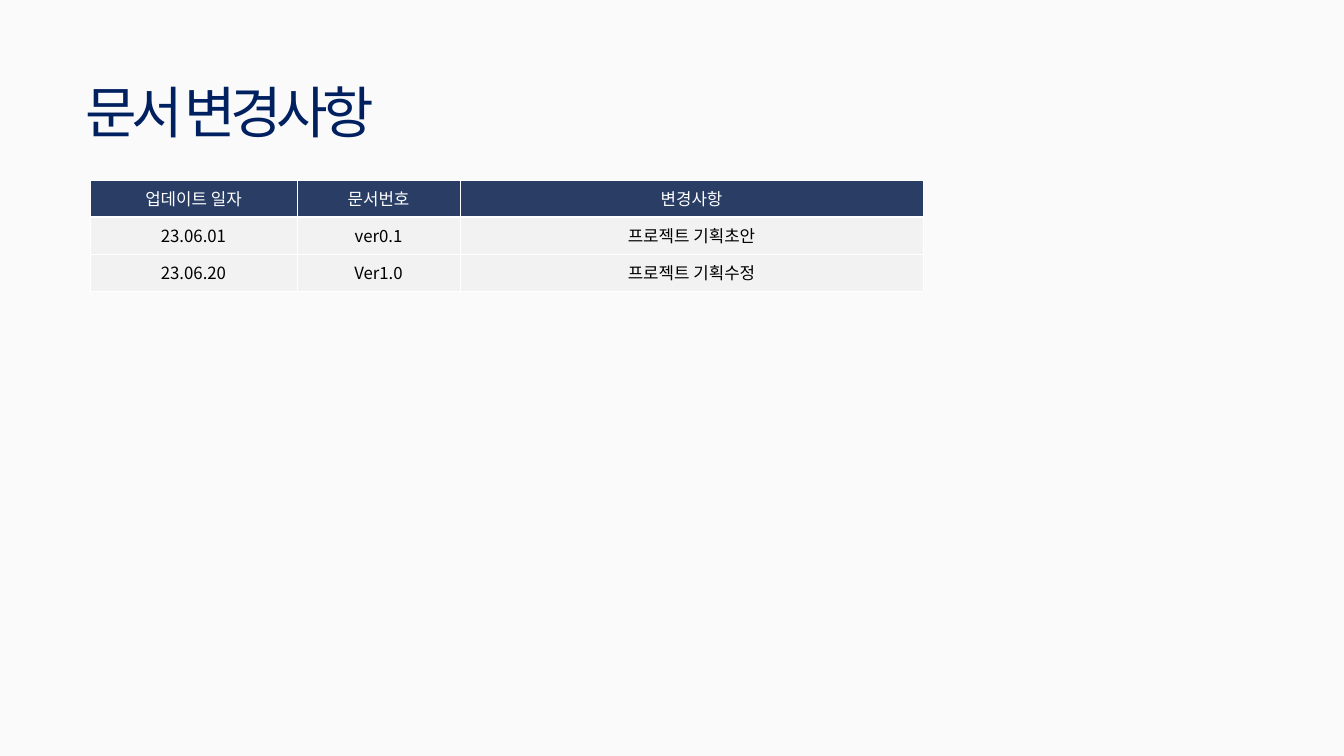
from pptx import Presentation
from pptx.dml.color import RGBColor
from pptx.enum.text import MSO_ANCHOR, MSO_AUTO_SIZE, PP_ALIGN
from pptx.oxml import parse_xml
from pptx.oxml.ns import nsdecls
from pptx.util import Emu, Pt

TITLE = "문서 변경사항"
ROWS = [
    ("업데이트 일자", "문서번호", "변경사항"),
    ("23.06.01", "ver0.1", "프로젝트 기획초안"),
    ("23.06.20", "Ver1.0", "프로젝트 기획수정"),
]
COL_WIDTHS = [207, 163, 463]
ROW_HEIGHT = 37
TABLE_LEFT, TABLE_TOP = 90, 180

FONT = "Noto Sans CJK KR"
PAPER = RGBColor(0xFA, 0xFA, 0xFA)
NAVY = RGBColor(0x00, 0x20, 0x60)
HEADER = RGBColor(0x29, 0x3D, 0x65)
BODY = RGBColor(0xF2, 0xF2, 0xF2)
WHITE = RGBColor(0xFF, 0xFF, 0xFF)
BLACK = RGBColor(0x00, 0x00, 0x00)


def px(n):
    return Emu(round(n * 914400 / 67.2))


def write(tf, text, size=18, color=BLACK, align=PP_ALIGN.CENTER, spacing=0):
    p = tf.paragraphs[0]
    p.alignment = align
    r = p.add_run()
    r.text = text
    r.font.size = Pt(size)
    r.font.name = FONT
    r.font.color.rgb = color
    rPr = r.font._element
    rPr.append(parse_xml(f'<a:ea {nsdecls("a")} typeface="{FONT}"/>'))
    if spacing:
        rPr.set("spc", str(spacing * 100))


def border(cell, bottom=1):
    tcPr = cell._tc.get_or_add_tcPr()
    for i, (side, width) in enumerate(zip("LRTB", (1, 1, 1, bottom))):
        tcPr.insert(i, parse_xml(
            f'<a:ln{side} {nsdecls("a")} w="{Pt(width)}"><a:solidFill>'
            f'<a:srgbClr val="{WHITE}"/></a:solidFill></a:ln{side}>'))


prs = Presentation()
prs.slide_width, prs.slide_height = px(1344), px(756)
s = prs.slides.add_slide(prs.slide_layouts[5])
s.background.fill.solid()
s.background.fill.fore_color.rgb = PAPER

gf = s.shapes.add_table(len(ROWS), len(COL_WIDTHS), px(TABLE_LEFT), px(TABLE_TOP),
                        px(sum(COL_WIDTHS)), px(ROW_HEIGHT * len(ROWS)))
table = gf.table
for column, width in zip(table.columns, COL_WIDTHS):
    column.width = px(width)
for i, values in enumerate(ROWS):
    table.rows[i].height = px(ROW_HEIGHT)
    for j, text in enumerate(values):
        cell = table.cell(i, j)
        cell.vertical_anchor = MSO_ANCHOR.MIDDLE
        cell.fill.solid()
        cell.fill.fore_color.rgb = BODY if i else HEADER
        border(cell, bottom=1 if i else 3)
        write(cell.text_frame, text, color=BLACK if i else WHITE)

title = s.shapes.title
title.left, title.top, title.width, title.height = px(79), px(74), px(1089), px(75)
tf = title.text_frame
tf.word_wrap = True
tf.auto_size = MSO_AUTO_SIZE.NONE
tf.vertical_anchor = MSO_ANCHOR.MIDDLE
write(tf, TITLE, size=60, color=NAVY, align=PP_ALIGN.LEFT, spacing=-6)

prs.save("out.pptx")
